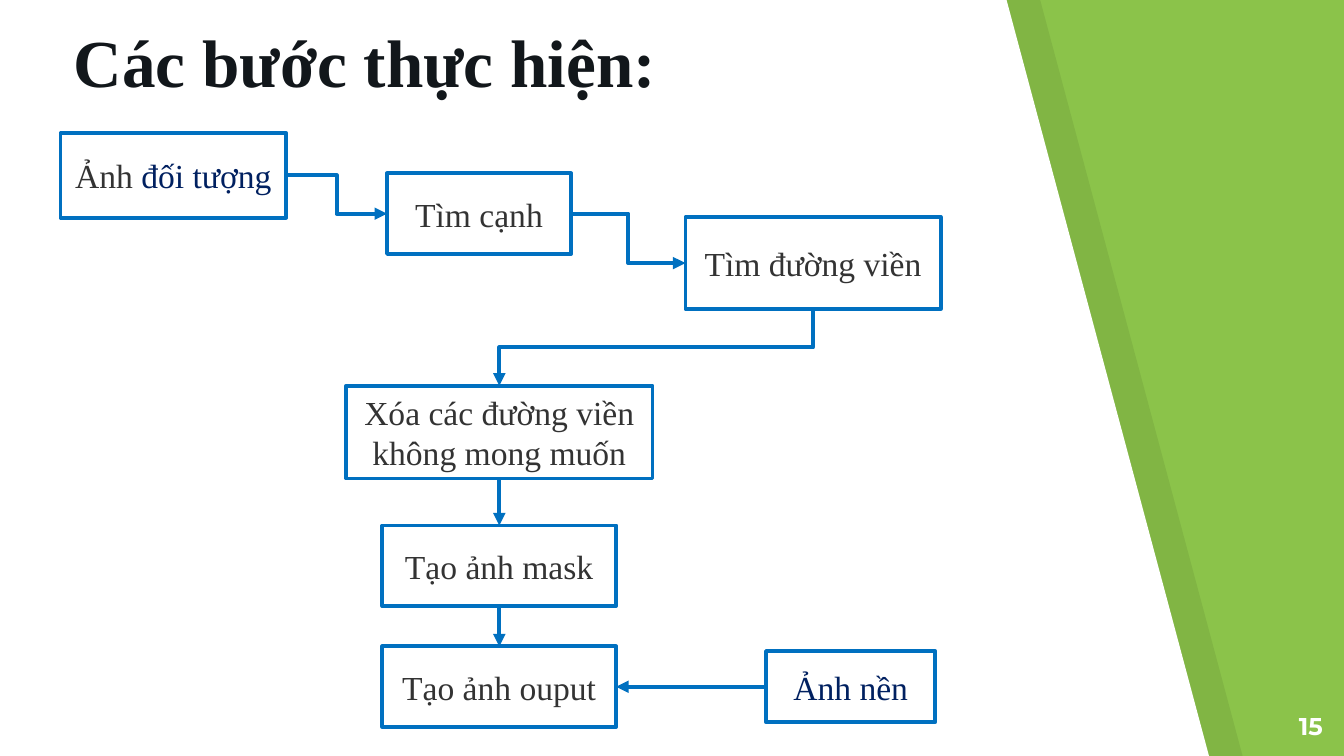
"""Build a flow chart slide of image processing steps."""
import pptx
import pptx.dml.color
import pptx.enum.shapes
import pptx.enum.text
import pptx.oxml
import pptx.oxml.ns
import pptx.util

RGB = pptx.dml.color.RGBColor
GREEN = RGB(0x8B, 0xC3, 0x4A)
BLACK = RGB(0, 0, 0)
WHITE = RGB(0xFF, 0xFF, 0xFF)
INK = RGB(0x12, 0x17, 0x1B)
GREY = RGB(0x33, 0x33, 0x33)
NAVY = RGB(0x00, 0x20, 0x60)
BLUE = RGB(0x00, 0x70, 0xC0)
SERIF, SANS = "Times New Roman", "Montserrat"
COLS, ROWS = 1000, 562.5
STEP = pptx.util.Inches(10) // COLS

TITLE = "Các bước thực hiện:"
PAGE = "15"
BOXES = {
    "object": ((45, 99, 168, 63), [("Ảnh ", GREY), ("đối tượng", NAVY)]),
    "edge": ((288, 129, 137, 60), [("Tìm cạnh", GREY)]),
    "contour": ((510, 161.5, 190, 68.5), [("Tìm đường viền", GREY)]),
    "back": ((570, 484.5, 126, 53), [("Ảnh nền", NAVY)]),
    "clean": ((257.5, 287, 228, 69), [("Xóa các đường viền không mong muốn", GREY)]),
    "mask": ((284.5, 391, 174, 60), [("Tạo ảnh mask", GREY)]),
    "output": ((284.5, 481, 174, 60), [("Tạo ảnh ouput", GREY)]),
}
TOP, LEFT, BOTTOM, RIGHT = range(4)
BENDS = [
    ("object", RIGHT, "edge", LEFT),
    ("edge", RIGHT, "contour", LEFT),
    ("contour", BOTTOM, "clean", TOP),
]
LINKS = [
    ("clean", BOTTOM, "mask", TOP),
    ("mask", BOTTOM, "output", TOP),
    ("back", LEFT, "output", RIGHT),
]
BAND = [(0, -1), (0, 564), (900, 564), (749, 0)]
BANDS = [(25, BLACK, 7), (0, WHITE, 100)]


def grid(*cells):
    return [round(cell * STEP) for cell in cells]


def add_tag(node, tag, **attrs):
    item = pptx.oxml.parse_xml(f"<{tag} {pptx.oxml.ns.nsdecls('a')}/>")
    for key, value in attrs.items():
        item.set(key, value)
    node.append(item)


def write(shape, runs, size, font, align, anchor, bold=False, side=0.1, edge=0.1):
    frame = shape.text_frame
    frame.word_wrap = True
    frame.vertical_anchor = anchor
    frame.margin_left = frame.margin_right = pptx.util.Inches(side)
    frame.margin_top = frame.margin_bottom = pptx.util.Inches(edge)
    para = frame.paragraphs[0]
    para.alignment = align
    for text, color in runs:
        run = para.add_run()
        run.text = text
        run.font.size = pptx.util.Pt(size)
        run.font.name = font
        run.font.bold = bold
        run.font.color.rgb = color


def add_band(slide, shift, color, alpha):
    points = [grid(x + shift, y) for x, y in BAND]
    draft = slide.shapes.build_freeform(*points[0])
    draft.add_line_segments(points[1:], close=True)
    band = draft.convert_to_shape()
    band.shadow.inherit = False
    band.line.fill.background()
    band.fill.solid()
    band.fill.fore_color.rgb = color
    if alpha < 100:
        tint = band._element.spPr.find(".//" + pptx.oxml.ns.qn("a:srgbClr"))
        add_tag(tint, "a:alpha", val=str(alpha * 1000))


def add_box(slide, place, runs):
    kind = pptx.enum.shapes.MSO_SHAPE.RECTANGLE
    box = slide.shapes.add_shape(kind, *grid(*place))
    box.shadow.inherit = False
    box.fill.background()
    box.line.color.rgb = BLUE
    box.line.width = pptx.util.Pt(2)
    write(box, runs, 18, SERIF, pptx.enum.text.PP_ALIGN.CENTER,
          pptx.enum.text.MSO_ANCHOR.MIDDLE, side=0.05, edge=0.05)
    return box


def middle(name, side):
    left, top, wide, high = BOXES[name][0]
    across = {LEFT: 0, RIGHT: 1}.get(side, 0.5)
    down = {TOP: 0, BOTTOM: 1}.get(side, 0.5)
    return left + wide * across, top + high * down


def add_arrow(slide, kind, start, end):
    line = slide.shapes.add_connector(kind, *grid(*start, *end))
    line.line.color.rgb = BLUE
    line.line.width = pptx.util.Pt(2.25)
    add_tag(line.line._get_or_add_ln(), "a:tailEnd", type="triangle")
    add_tag(line._element.spPr, "a:effectLst")
    return line


def add_bend(slide, source, out, target, into):
    start, end = middle(source, out), middle(target, into)
    turned = out == BOTTOM
    if turned:
        mid_x, mid_y = [(a + b) / 2 for a, b in zip(start, end)]
        half_x = (end[1] - start[1]) / 2
        half_y = (start[0] - end[0]) / 2
        start = mid_x - half_x, mid_y - half_y
        end = mid_x + half_x, mid_y + half_y
    line = add_arrow(slide, pptx.enum.shapes.MSO_CONNECTOR.ELBOW, start, end)
    if turned:
        line._element.spPr.find(pptx.oxml.ns.qn("a:xfrm")).set("rot", "5400000")


def main():
    deck = pptx.Presentation()
    deck.slide_width, deck.slide_height = grid(COLS, ROWS)
    slide = deck.slides.add_slide(deck.slide_layouts[6])
    slide.background.fill.solid()
    slide.background.fill.fore_color.rgb = GREEN
    for band in BANDS:
        add_band(slide, *band)

    align, anchor = pptx.enum.text.PP_ALIGN, pptx.enum.text.MSO_ANCHOR
    title = slide.shapes.add_textbox(*grid(45, 32.5, 679, 53))
    write(title, [(TITLE, INK)], 36, SERIF, align.LEFT, anchor.BOTTOM, bold=True)
    page = slide.shapes.add_textbox(*grid(934, 519, 60, 43))
    write(page, [(PAGE, WHITE)], 13, SANS, align.RIGHT, anchor.TOP, bold=True)

    boxes = {name: add_box(slide, *data) for name, data in BOXES.items()}
    for bend in BENDS:
        add_bend(slide, *bend)
    for source, out, target, into in LINKS:
        line = add_arrow(slide, pptx.enum.shapes.MSO_CONNECTOR.STRAIGHT,
                         middle(source, out), middle(target, into))
        line.begin_connect(boxes[source], out)
        line.end_connect(boxes[target], into)
    deck.save("out.pptx")


if __name__ == "__main__":
    main()
